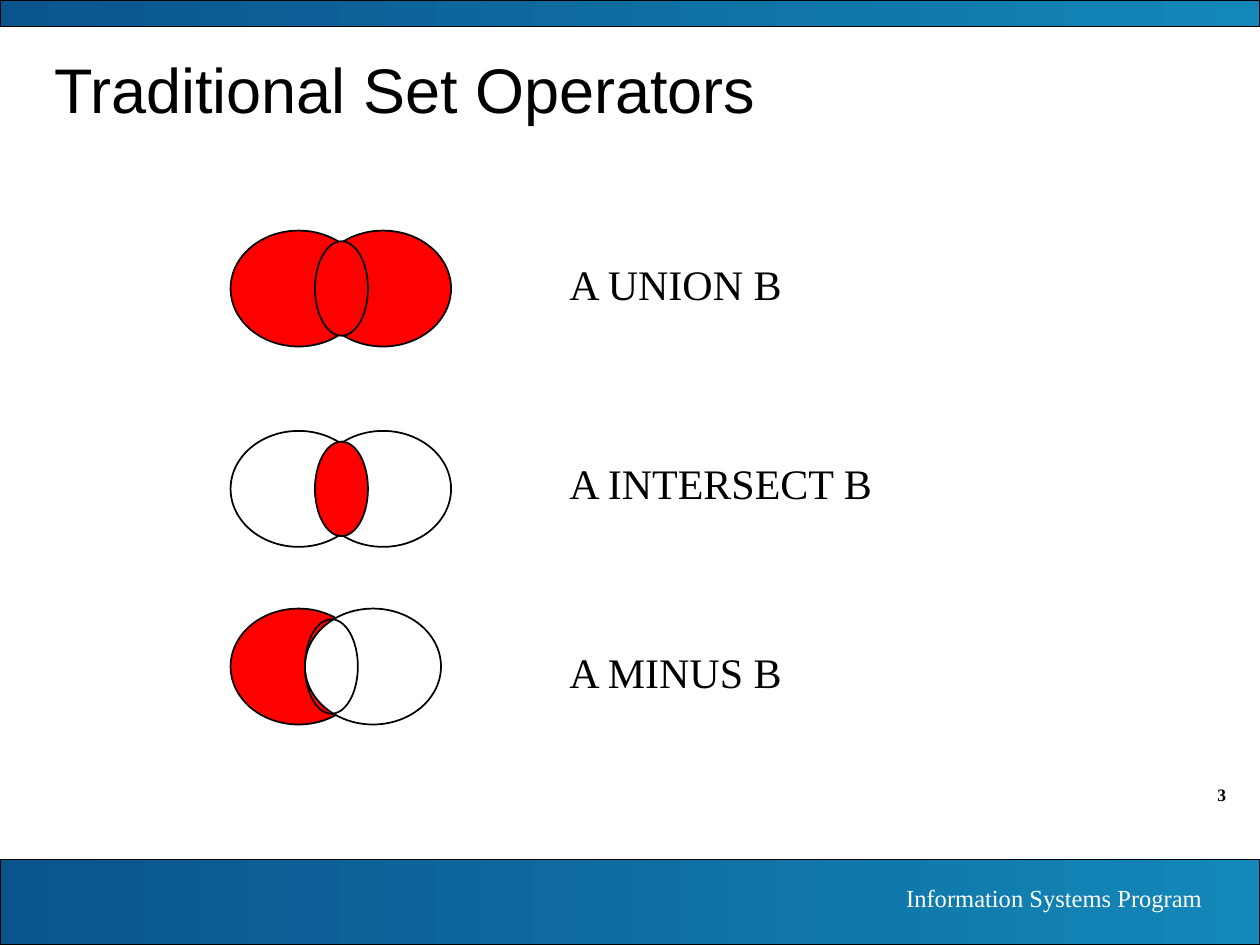
from dataclasses import dataclass
from typing import Optional

from pptx import Presentation
from pptx.dml.color import RGBColor
from pptx.enum import shapes, text
from pptx.util import Inches, Pt

BLACK = RGBColor(0x00, 0x00, 0x00)
WHITE = RGBColor(0xFF, 0xFF, 0xFF)
RED = RGBColor(0xFF, 0x00, 0x00)
DEEP_BLUE = RGBColor(0x0A, 0x54, 0x8C)
LIGHT_BLUE = RGBColor(0x13, 0x87, 0xB8)
SERIF = "Times New Roman"

CIRCLE_WIDTH, CIRCLE_HEIGHT = 1.08, 0.92
LENS_WIDTH, LENS_HEIGHT = 0.42, 0.75
LEFT_A = 1.83
LABEL_LEFT = 4.42


@dataclass
class Operator:
    """A Venn diagram with its label; a fill of None is transparent."""
    label: str
    top: float
    label_top: float
    label_width: float
    left_b: float
    fill_a: Optional[RGBColor]
    fill_b: Optional[RGBColor]
    fill_lens: Optional[RGBColor]


OPERATORS = [
    Operator("A UNION B", 1.83, 2, 2.08, 2.5, RED, RED, RED),
    Operator("A INTERSECT B", 3.42, 3.58, 2.75, 2.5, None, None, RED),
    Operator("A MINUS B", 4.83, 5.08, 2.08, 2.42, RED, WHITE, None),
]


def add_span(para, words: str, size: float, color: RGBColor,
             font: str = SERIF, bold: bool = False) -> None:
    span = para.add_run()
    span.text = words
    span.font.name = font
    span.font.size = Pt(size)
    span.font.bold = bold
    span.font.color.rgb = color


def add_text(page, words: str, left: float, top: float, width: float,
             height: float, size: float, color: RGBColor = BLACK,
             align=text.PP_ALIGN.LEFT, bold: bool = False) -> None:
    box = page.shapes.add_textbox(
        Inches(left), Inches(top), Inches(width), Inches(height))
    box.text_frame.word_wrap = True
    para = box.text_frame.paragraphs[0]
    para.alignment = align
    add_span(para, words, size, color, bold=bold)


def add_band(page, top: float, height: float) -> None:
    band = page.shapes.add_shape(
        shapes.MSO_SHAPE.RECTANGLE, 0, Inches(top), Inches(10), Inches(height))
    band.shadow.inherit = False
    band.fill.gradient()
    band.fill.gradient_angle = 0
    for stop, position, color in zip(
            band.fill.gradient_stops, (0, 1), (DEEP_BLUE, LIGHT_BLUE)):
        stop.position = position
        stop.color.rgb = color
    band.line.color.rgb = BLACK
    band.line.width = Pt(0.75)


def add_ellipse(group, left: float, top: float, width: float, height: float,
                fill: Optional[RGBColor]) -> None:
    ellipse = group.shapes.add_shape(
        shapes.MSO_SHAPE.OVAL,
        Inches(left), Inches(top), Inches(width), Inches(height))
    ellipse.shadow.inherit = False
    if fill is None:
        ellipse.fill.background()
    else:
        ellipse.fill.solid()
        ellipse.fill.fore_color.rgb = fill
    ellipse.line.color.rgb = BLACK
    ellipse.line.width = Pt(1)


def add_operator(page, operator: Operator) -> None:
    group = page.shapes.add_group_shape()
    for left, fill in ((LEFT_A, operator.fill_a),
                       (operator.left_b, operator.fill_b)):
        add_ellipse(group, left, operator.top, CIRCLE_WIDTH, CIRCLE_HEIGHT, fill)
    lens_top = operator.top + (CIRCLE_HEIGHT - LENS_HEIGHT) / 2
    add_ellipse(group, operator.left_b, lens_top, LENS_WIDTH, LENS_HEIGHT,
                operator.fill_lens)
    add_text(page, operator.label, LABEL_LEFT, operator.label_top,
             operator.label_width, 0.5, 24)


def main() -> None:
    deck = Presentation()
    deck.slide_width, deck.slide_height = Inches(10), Inches(7.5)
    page = deck.slides.add_slide(deck.slide_layouts.get_by_name("Title Only"))

    # Page number, bands and footer
    right = text.PP_ALIGN.RIGHT
    add_text(page, "3", 9, 6.17, 0.83, 0.27, 10, align=right, bold=True)
    add_band(page, 6.82, 0.68)
    add_band(page, 0, 0.21)
    add_text(page, "Information Systems Program", 5.55, 6.96, 4.09, 0.34, 14,
             WHITE, right)

    # Title
    title = page.shapes.title
    title.left, title.top = Inches(0.33), Inches(0.33)
    title.width, title.height = Inches(9.17), Inches(0.75)
    title.text_frame.vertical_anchor = text.MSO_ANCHOR.MIDDLE
    para = title.text_frame.paragraphs[0]
    para.alignment = text.PP_ALIGN.LEFT
    add_span(para, "Traditional Set Operators", 36, BLACK, "Arial")

    # Venn diagrams
    for operator in OPERATORS:
        add_operator(page, operator)

    deck.save("out.pptx")


if __name__ == "__main__":
    main()
